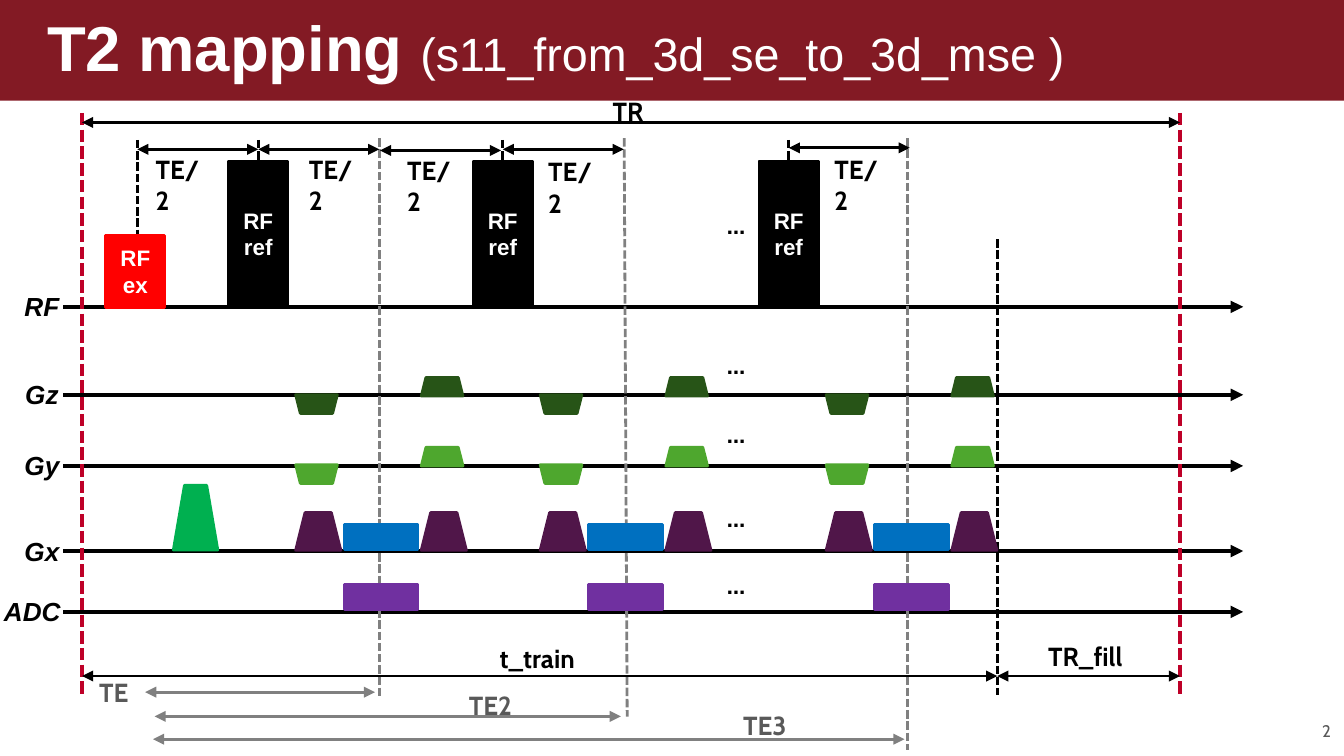
from lxml import etree
from pptx import Presentation
from pptx.dml.color import RGBColor
from pptx.enum.dml import MSO_LINE
from pptx.enum.shapes import MSO_CONNECTOR, MSO_SHAPE
from pptx.enum.text import MSO_ANCHOR, MSO_AUTO_SIZE, PP_ALIGN
from pptx.oxml.ns import qn
from pptx.util import Pt

RECT, TRAPEZOID = MSO_SHAPE.RECTANGLE, MSO_SHAPE.TRAPEZOID
STRAIGHT, DASH = MSO_CONNECTOR.STRAIGHT, MSO_LINE.SQUARE_DOT
LEFT, CENTER, RIGHT = PP_ALIGN.LEFT, PP_ALIGN.CENTER, PP_ALIGN.RIGHT
TOP, MIDDLE = MSO_ANCHOR.TOP, MSO_ANCHOR.MIDDLE
FIT, NO_FIT = MSO_AUTO_SIZE.SHAPE_TO_FIT_TEXT, MSO_AUTO_SIZE.NONE

BLACK, WHITE, GRAY, DARK_GRAY = "000000", "FFFFFF", "808080", "595959"
BAND, EXCITE, TR_RED = "831A24", "FF0000", "BE0028"
FOREST, LEAF, PLUM = "275417", "4EA72E", "501649"
SPOILER, READOUT, SAMPLING = "00B050", "0070C0", "7030A0"

TITLE = [("T2 mapping ", 34, True), ("(s11_from_3d_se_to_3d_mse )", 25, False)]
AXES = [("RF", 164.4), ("Gz", 211.5), ("Gy", 249.6), ("Gx", 295.2), ("ADC", 327.8)]
TR_START, TRAIN_END, TR_END = 44, 534.2, 632.2
EXCITE_TIME, HALF_ECHO = 73.6, 64.8
REFOCUS_TIMES = [138.4, 269.4, 422.6]
ECHO_GUIDES = [(203.2, 203.2, 374.4), (334.4, 336, 384), (486, 486, 402)]
PREPHASE, READ, REPHASE = 20, 46, 87.3
PHASE_LOBES = [(FOREST, 211.5, 202.2), (LEAF, 249, 239.6)]
HALF_SPANS = [(EXCITE_TIME, 80), (138.4, 80), (203.6, 80.6), (269.4, 80), (422.6, 79.2)]
HALF_LABELS = [(76.3, 78.5), (158.4, 78.5), (211, 79.2), (286.6, 79.9), (439.9, 78.5)]
ELLIPSIS_TOPS = [108, 182.9, 220.3, 265, 301]
SPANS = [
    (TR_START, TR_END, 65.6, BLACK), (TR_START, TRAIN_END, 362.2, BLACK),
    (TRAIN_END, TR_END, 362.2, BLACK), (77.8, 200.9, 370.8, GRAY),
    (82.8, 332.6, 383.8, GRAY), (82, 484.6, 396, GRAY),
]
SPAN_LABELS = [
    ("TR", 321.1, 47.5, 33, BLACK), ("t_train", 260.6, 340.6, 57.6, BLACK),
    ("TR_fill", 554.4, 339.8, 57.6, BLACK), ("TE", 46.1, 358.6, 31.7, DARK_GRAY),
    ("TE2", 244.1, 365.8, 39.6, DARK_GRAY), ("TE3", 391, 376.6, 39.6, DARK_GRAY),
]


def color(value):
    """Turn a hex string into a colour."""
    return RGBColor.from_string(value)


def style(span, size, tint, bold=True, italic=False, font="Arial"):
    """Format one run."""
    span.font.size, span.font.name = Pt(size), font
    span.font.bold, span.font.italic = bold, italic
    span.font.color.rgb = color(tint)


def write(box, text, size, tint, align=LEFT, **look):
    """Put text in a shape and format every run."""
    box.text_frame.text = text
    for para in box.text_frame.paragraphs:
        para.alignment = align
        for span in para.runs:
            style(span, size, tint, **look)


def label(page, text, left, top, width, tint=BLACK, size=14, align=LEFT,
          wrap=False, height=24.2, **look):
    """Add a text box."""
    box = page.shapes.add_textbox(Pt(left), Pt(top), Pt(width), Pt(height))
    box.text_frame.word_wrap = wrap
    box.text_frame.auto_size = FIT
    write(box, text, size, tint, align, **look)


def block(page, kind, left, top, width, height, tint, text="", flip=False, edge=True):
    """Add a filled pulse or gradient lobe."""
    shape = page.shapes.add_shape(kind, Pt(left), Pt(top), Pt(width), Pt(height))
    shape.shadow.inherit = False
    shape.fill.solid()
    shape.fill.fore_color.rgb = color(tint)
    if edge:
        shape.line.color.rgb = color(tint)
        shape.line.width = Pt(1.5)
    else:
        shape.line.fill.background()
    if flip:
        shape._element.spPr.xfrm.set("flipV", "1")
    if text:
        shape.text_frame.vertical_anchor = MIDDLE
        write(shape, text, 12, WHITE, CENTER)


def line(page, start, end, tint=BLACK, width=1.5, dashed=False, arrows=()):
    """Add a straight line with optional dashes and arrowheads."""
    connector = page.shapes.add_connector(STRAIGHT, *map(Pt, start + end))
    connector.line.color.rgb = color(tint)
    connector.line.width = Pt(width)
    if dashed:
        connector.line.dash_style = DASH
    properties = connector._element.spPr
    for arrow in arrows:
        etree.SubElement(properties.find(qn("a:ln")), qn(arrow), type="triangle")
    etree.SubElement(properties, qn("a:effectLst"))


def double_arrow(page, left, right, y, tint=BLACK):
    """Add a horizontal time span."""
    line(page, (left, y), (right, y), tint, arrows=("a:headEnd", "a:tailEnd"))


def add_title(page):
    """Draw the band and set the title on it."""
    block(page, RECT, 0, 0, 720, 54, BAND, edge=False)
    title = page.shapes.title
    title.left, title.top, title.width, title.height = map(Pt, (18, 0.7, 702, 48.2))
    page.shapes._spTree.append(title._element)
    frame = title.text_frame
    frame.word_wrap, frame.auto_size, frame.vertical_anchor = True, NO_FIT, TOP
    para = frame.paragraphs[0]
    para.alignment = LEFT
    for text, size, bold in TITLE:
        span = para.add_run()
        span.text = text
        style(span, size, WHITE, bold)


def add_axes(page):
    """Draw the axes, their names and the vertical time guides."""
    for time in [EXCITE_TIME] + REFOCUS_TIMES:
        line(page, (time, 75), (time, 164.4), dashed=True)
    for name, y in AXES:
        line(page, (33.8, y), (666, y), width=2.25, arrows=("a:tailEnd",))
        middle = 17.3 if name == "ADC" else 22.5
        label(page, name, middle - 22.5, y - 12.1, 45, align=CENTER, italic=True)
    for time in (TR_START, TR_END):
        line(page, (time, 60.5), (time, 372.2), TR_RED, 2.25, True)
    for top_time, bottom_time, bottom in ECHO_GUIDES:
        line(page, (top_time, 74), (bottom_time, bottom), GRAY, dashed=True)
    line(page, (TRAIN_END, 128.2), (TRAIN_END, 372.2), dashed=True)


def add_pulses(page):
    """Draw the excitation and one refocusing group per echo."""
    block(page, RECT, EXCITE_TIME - 16.9, 126, 31.7, 38.9, EXCITE, "RF\nex")
    block(page, TRAPEZOID, 92.9, 260, 23.8, 34.6, SPOILER)
    for time in REFOCUS_TIMES:
        block(page, RECT, time - 15.9, 86.2, 31.7, 77.8, BLACK, "RF\nref")
        for tint, below, above in PHASE_LOBES:
            block(page, TRAPEZOID, time + PREPHASE, below, 22.3, 10, tint, flip=True)
            block(page, TRAPEZOID, time + REPHASE, above, 22.3, 10, tint)
        for offset in (PREPHASE, REPHASE):
            block(page, TRAPEZOID, time + offset, 274.6, 24.2, 20.2, PLUM)
        block(page, RECT, time + READ, 280.8, 39.6, 13.7, READOUT)
        block(page, RECT, time + READ, 313, 39.6, 13.7, SAMPLING)


def add_timing(page):
    """Draw the time spans and their labels."""
    for start, y in HALF_SPANS:
        double_arrow(page, start, start + HALF_ECHO, y)
    for left, top in HALF_LABELS:
        label(page, "TE/2", left, top, 44, wrap=True, font="Cabin")
    for left, right, y, tint in SPANS:
        double_arrow(page, left, right, y, tint)
    for text, left, top, width, tint in SPAN_LABELS:
        label(page, text, left, top, width, tint, font="Cabin")
    for top in ELLIPSIS_TOPS:
        label(page, "…", 382.3, top, 28.8, font="Cabin")


def main():
    """Build and save the slide."""
    deck = Presentation()
    deck.slide_width, deck.slide_height = Pt(720), Pt(405)
    page = deck.slides.add_slide(deck.slide_layouts[5])
    add_title(page)
    add_axes(page)
    add_pulses(page)
    add_timing(page)
    label(page, "2", 558, 382.3, 162, DARK_GRAY, 9, RIGHT, True, 17.3,
          bold=False, font="Cabin")
    deck.save("out.pptx")


if __name__ == "__main__":
    main()
